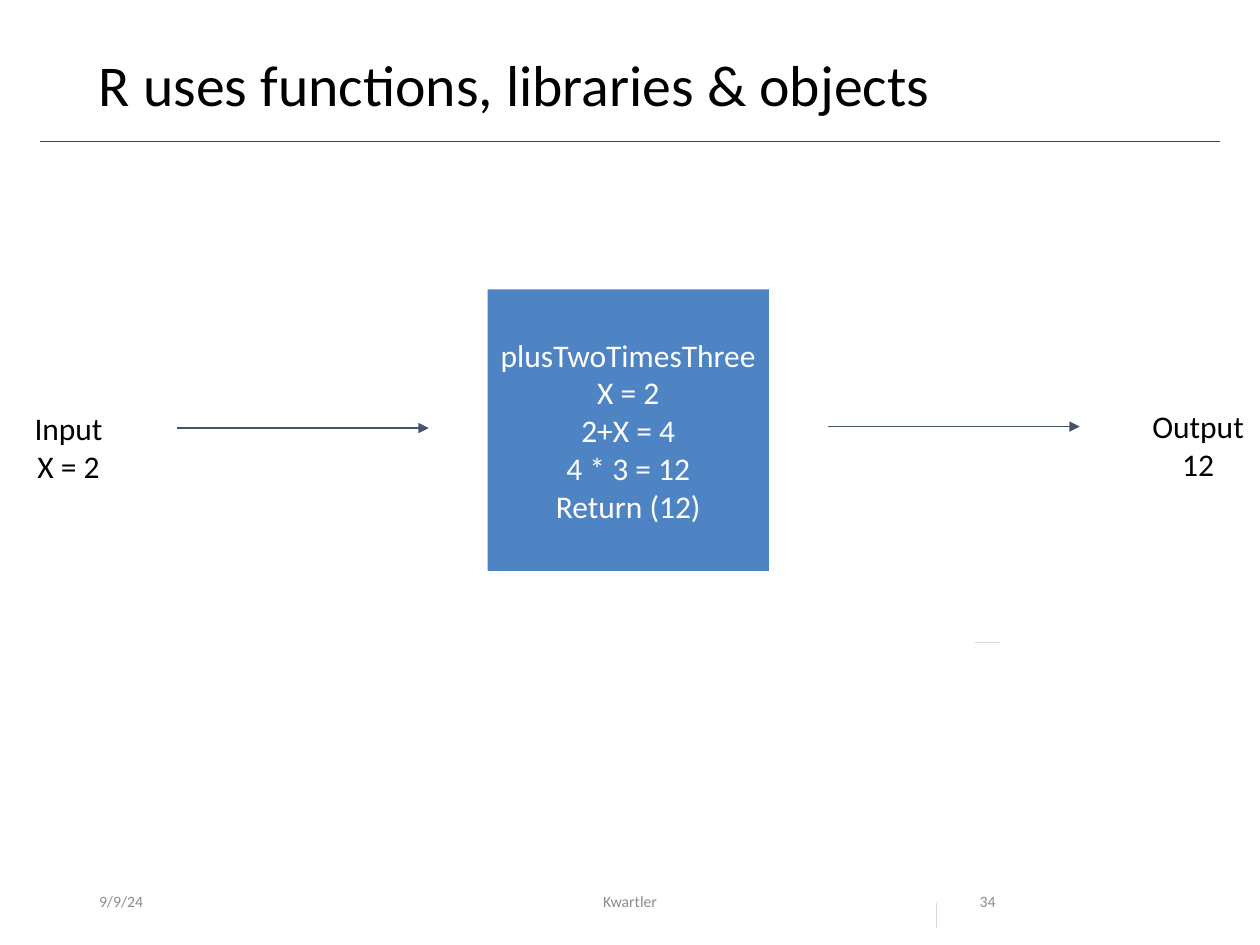
from lxml import etree
from pptx import Presentation
from pptx import util as u
from pptx.dml.color import RGBColor
from pptx.enum import shapes, text
from pptx.oxml.ns import qn

Pt = u.Pt
LEFT, CENTER, RIGHT = text.PP_ALIGN.LEFT, text.PP_ALIGN.CENTER, text.PP_ALIGN.RIGHT
TOP, MIDDLE = text.MSO_ANCHOR.TOP, text.MSO_ANCHOR.MIDDLE

FONT = "Calibri"
BLACK = RGBColor(0x00, 0x00, 0x00)
WHITE = RGBColor(0xFF, 0xFF, 0xFF)
GREY = RGBColor(0x8C, 0x8C, 0x8C)
PALE = RGBColor(0xD9, 0xD9, 0xD9)
CRIMSON = RGBColor(0xA5, 0x1C, 0x30)
SLATE = RGBColor(0x44, 0x54, 0x6A)
BLUE = RGBColor(0x4E, 0x84, 0xC4)


def write(frame, lines, size, color, align, anchor, wrap=True, spacing=None):
    """Fill a text frame with one paragraph per line."""
    frame.word_wrap = wrap
    frame.vertical_anchor = anchor
    for i, line in enumerate(lines):
        paragraph = frame.paragraphs[0] if i == 0 else frame.add_paragraph()
        paragraph.alignment = align
        if spacing:
            paragraph.line_spacing = spacing
        run = paragraph.add_run()
        run.text = line
        run.font.name = FONT
        run.font.size = Pt(size)
        run.font.color.rgb = color


def add_label(slide, box, lines, size, color, align=LEFT, anchor=TOP, **options):
    label = slide.shapes.add_textbox(*map(Pt, box))
    write(label.text_frame, lines, size, color, align, anchor, **options)
    return label


def add_line(slide, start, end, color, width, arrow=False):
    line = slide.shapes.add_connector(
        shapes.MSO_CONNECTOR.STRAIGHT, *map(Pt, start + end))
    line.line.color.rgb = color
    line.line.width = Pt(width)
    if arrow:
        etree.SubElement(line.line._get_or_add_ln(), qn("a:tailEnd"), type="triangle")
    etree.SubElement(line._element.spPr, qn("a:effectLst"))


def add_value(slide, box, lines):
    """An input or output value beside the function."""
    value = add_label(slide, box, lines, 18, BLACK, CENTER, wrap=False)
    value.text_frame.auto_size = text.MSO_AUTO_SIZE.SHAPE_TO_FIT_TEXT


def add_function(slide, box, lines):
    function = slide.shapes.add_shape(shapes.MSO_SHAPE.RECTANGLE, *map(Pt, box))
    function.shadow.inherit = False
    function.fill.solid()
    function.fill.fore_color.rgb = BLUE
    function.line.fill.background()
    write(function.text_frame, lines, 18, WHITE, CENTER, MIDDLE)


def main():
    deck = Presentation()
    deck.slide_width, deck.slide_height = Pt(720), Pt(540)
    slide = deck.slides.add_slide(deck.slide_layouts[6])

    # Title and rule
    add_line(slide, (23, 80.8), (697, 80.8), CRIMSON, 0.5)
    add_label(slide, (49.5, 28.8, 621, 46.8),
              ["R uses functions, libraries & objects"], 33, BLACK, spacing=0.9)

    # Footer: date, author, slide number
    for left, width, words, align in (
            (49.5, 162, "9/9/24", LEFT),
            (238.5, 243, "Kwartler", CENTER),
            (508.5, 67.5, "34", RIGHT)):
        add_label(slide, (left, 500.5, width, 28.75), [words], 9, GREY, align, MIDDLE)

    # Input, function, output
    for left, y in ((101, 244.6), (473, 243.8)):
        add_line(slide, (left, y), (left + 144, y), SLATE, 1, arrow=True)
    add_value(slide, (650.8, 229, 67.7, 51), ["Output", "12"])
    add_value(slide, (12.2, 230.2, 54, 51), ["Input", "X = 2"])
    add_function(slide, (278.6, 165.4, 160.8, 160.8),
                 ["plusTwoTimesThree", "X = 2", "2+X = 4", "4 * 3 = 12", "Return (12)"])

    # Small pale marks
    add_line(slide, (535, 515.8), (535, 530.2), PALE, 0.5)
    add_line(slide, (557.2, 367), (571.6, 367), PALE, 0.5)

    deck.save("out.pptx")


if __name__ == "__main__":
    main()
